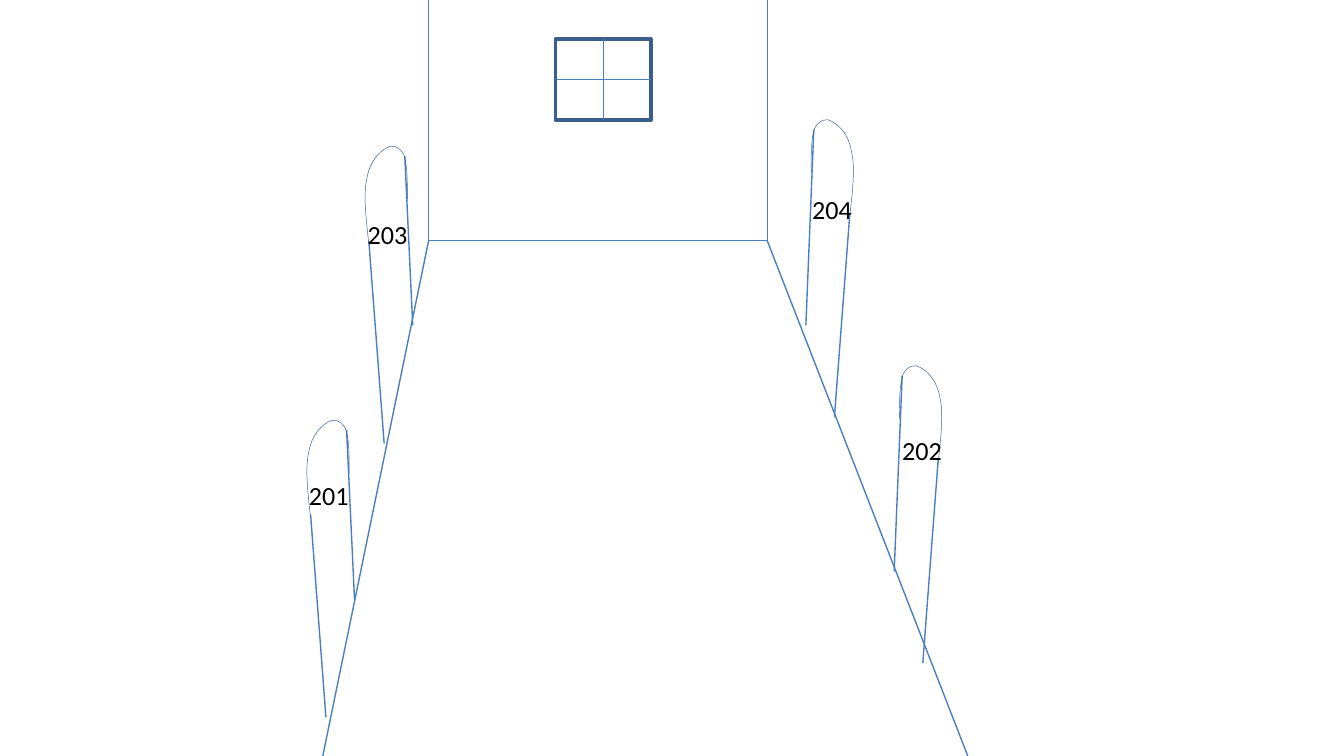
from lxml.etree import SubElement
from pptx import Presentation
from pptx.dml.color import RGBColor
from pptx.enum.shapes import MSO_CONNECTOR as Connector, MSO_SHAPE as Shape
from pptx.enum.text import MSO_AUTO_SIZE as AutoSize
from pptx.oxml.ns import qn
from pptx.util import Cm, Pt

COLORS = {"edge": "4B7EBC", "frame": "3A5F8C", "label": "000000"}
LABEL_FONT = {"name": "Calibri", "size": Pt(14)}
LABEL_FRAME = {"word_wrap": True, "auto_size": AutoSize.SHAPE_TO_FIT_TEXT}

# Door outline in cm from the top left of its arch; right-hand doors mirror it.
ARCH_WIDTH, ARCH_HEIGHT = 0.81, 1.83
# Start point, then two control points and an end point for each curve
ARCH_POINTS = [
    (0.08, 1.83),
    (0.03, 1.37), (-0.03, 0.89), (0.05, 0.58),
    (0.1, 0.28), (0.28, 0.1), (0.41, 0.03),
    (0.51, -0.05), (0.66, 0), (0.74, 0.15),
    (0.81, 0.33), (0.81, 0.66), (0.81, 0.99),
]
OUTER_JAMB = ((0.08, 1.78), (0.37, 5.61))
INNER_TOP = (0.76, 0.18)
INNER_BOTTOM = {False: (0.91, 3.38), True: (0.91, 3.88)}

# Number, arch position, label position, on the right wall
DOORS = [
    ("203", (6.89, 2.77), (6.7, 4.01), False),
    ("201", (5.79, 7.95), (5.59, 8.94), False),
    ("204", (15.33, 2.27), (15.1, 3.53), True),
    ("202", (17, 6.92), (16.8, 8.09), True),
]


def set_all(target, values):
    """Set every attribute named in values on target."""
    for attribute, value in values.items():
        setattr(target, attribute, value)


def style_line(line, color, points):
    """Give a line its colour and width."""
    line.color.rgb = RGBColor.from_string(COLORS[color])
    line.width = Pt(points)


def add_edge(shapes, start, end):
    """Draw a thin straight edge between two points in cm."""
    edge = shapes.add_connector(Connector.STRAIGHT, *map(Cm, (*start, *end)))
    style_line(edge.line, "edge", 0.75)
    SubElement(edge._element.spPr, qn("a:effectLst"))


def style_outline(outline, points):
    """Leave a shape unfilled, with a dark outline and no shadow."""
    outline.shadow.inherit = False
    outline.fill.background()
    style_line(outline.line, "frame", points)


def add_room(shapes):
    """Draw the corridor floor and the end wall."""
    left, right, floor_y, front_y = 8.1, 14.5, 4.55, 14.29
    back_left, back_right = (left, floor_y), (right, floor_y)
    for start, end in [
        ((6.1, front_y), back_left),
        (back_right, (18.29, front_y)),
        (back_left, back_right),
        (back_left, (left, 0)),
        (back_right, (right, 0)),
    ]:
        add_edge(shapes, start, end)


def add_window(shapes, left, top, width, height):
    """Draw a window with four panes."""
    frame = shapes.add_shape(Shape.RECTANGLE, *map(Cm, (left, top, width, height)))
    style_outline(frame, 2)
    middle_x, middle_y = left + width / 2, top + height / 2
    add_edge(shapes, (left, middle_y), (left + width, middle_y))
    add_edge(shapes, (middle_x, top), (middle_x, top + height))


def add_arch(shapes, place):
    """Draw the arch as curves whose control points may leave its box."""
    points = [tuple(map(Cm, place(point))) for point in ARCH_POINTS]
    inside = [tuple(map(Cm, place((min(max(x, 0), ARCH_WIDTH),
                                   min(max(y, 0), ARCH_HEIGHT)))))
              for x, y in ARCH_POINTS]
    builder = shapes.build_freeform(*inside[0])
    builder.add_line_segments(inside[1:], close=False)
    arch = builder.convert_to_shape()
    for node, (x, y) in zip(arch._element.iter(qn("a:pt")), points):
        node.set("x", str(x - arch.left))
        node.set("y", str(y - arch.top))
    segments = list(arch._element.iter(qn("a:lnTo")))
    outline = segments[0].getparent()
    for first in range(0, len(segments), 3):
        curve = SubElement(outline, qn("a:cubicBezTo"))
        for segment in segments[first:first + 3]:
            curve.append(segment[0])
            outline.remove(segment)
    style_outline(arch, 0.25)


def add_door(shapes, origin, on_right):
    """Draw an arched door as a group, mirrored on the right wall."""
    def place(point):
        x, y = point
        return origin[0] + (ARCH_WIDTH - x if on_right else x), origin[1] + y

    door = shapes.add_group_shape().shapes
    for jamb in (OUTER_JAMB, (INNER_TOP, INNER_BOTTOM[on_right])):
        add_edge(door, *map(place, jamb))
    add_arch(door, place)


def add_label(shapes, number, position):
    """Write a door number."""
    label = shapes.add_textbox(*map(Cm, (*position, 1.6, 0.86))).text_frame
    set_all(label, LABEL_FRAME)
    run = label.paragraphs[0].add_run()
    run.text = number
    set_all(run.font, LABEL_FONT)
    run.font.color.rgb = RGBColor.from_string(COLORS["label"])


def main():
    """Build the corridor slide."""
    deck = Presentation()
    set_all(deck, {"slide_width": Cm(25.4), "slide_height": Cm(14.29)})
    shapes = deck.slides.add_slide(deck.slide_layouts[6]).shapes
    add_room(shapes)
    add_window(shapes, 10.5, 0.74, 1.8, 1.53)
    for _, origin, _, on_right in DOORS:
        add_door(shapes, origin, on_right)
    for number, _, position, _ in sorted(DOORS):
        add_label(shapes, number, position)
    deck.save("out.pptx")


main()
